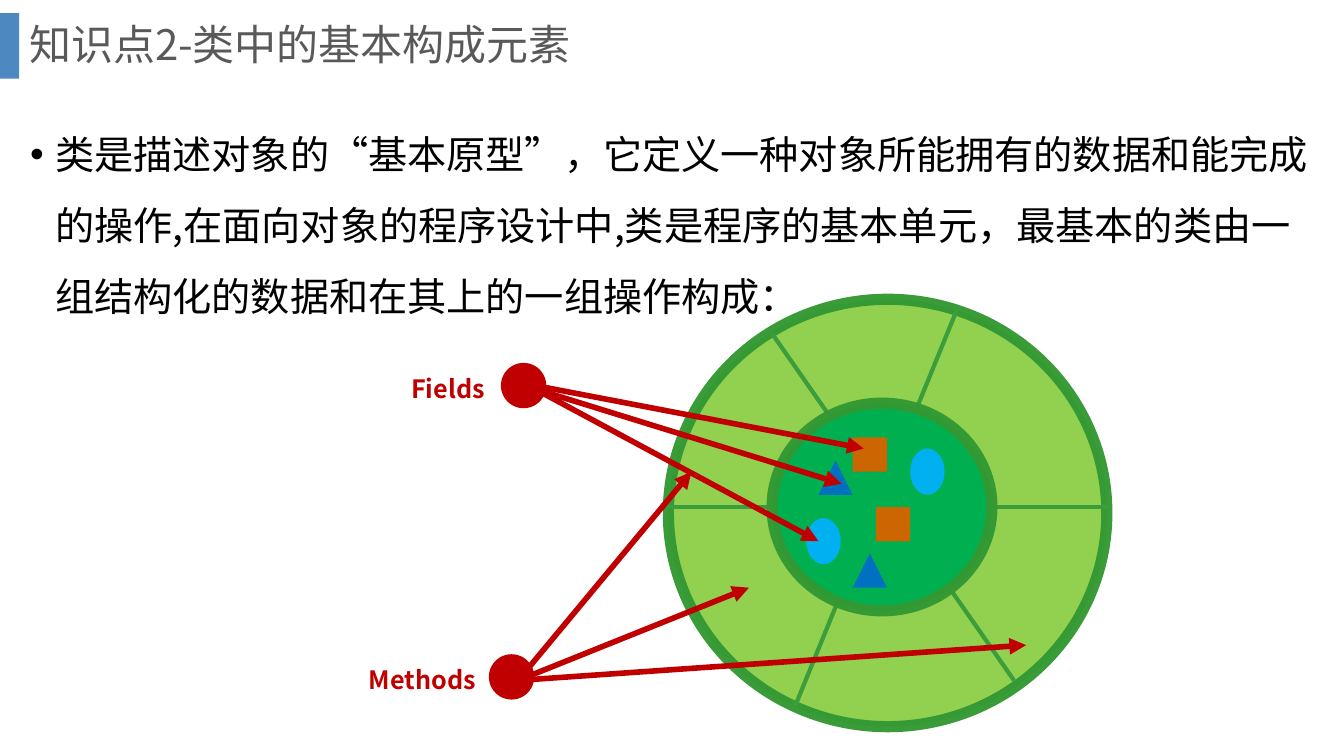
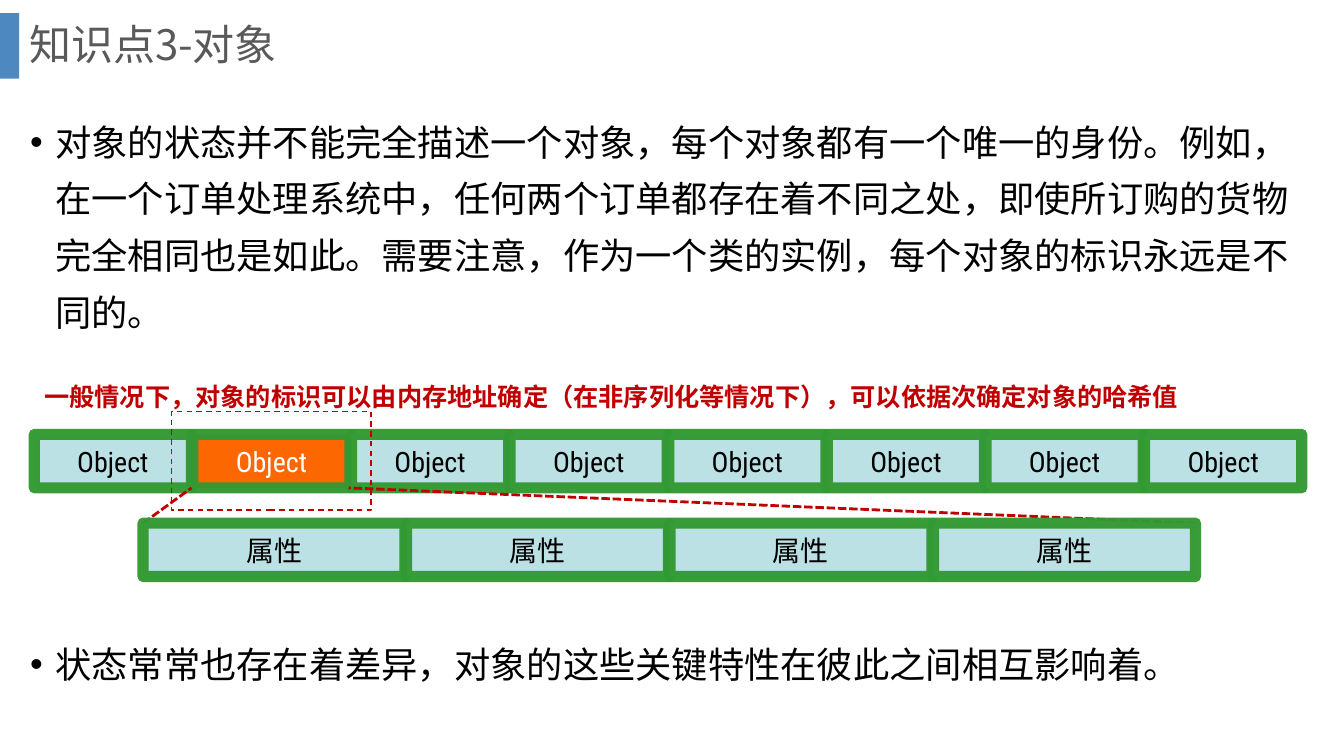
from dataclasses import dataclass
from typing import NamedTuple, Optional

from lxml.etree import SubElement
from pptx import Presentation
from pptx.dml.color import RGBColor
from pptx.enum.dml import MSO_LINE
from pptx.enum.lang import MSO_LANGUAGE_ID as Language
from pptx.enum.shapes import MSO_CONNECTOR, MSO_SHAPE
from pptx.enum.text import MSO_ANCHOR, PP_ALIGN
from pptx.oxml.ns import qn
from pptx.util import Pt


@dataclass(frozen=True)
class Theme:
    font: str = "Noto Sans CJK SC"
    object_font: str = "Roboto Condensed"
    band: str = "2E75B6"
    title: str = "595959"
    text: str = "000000"
    light_text: str = "FFFFFF"
    accent: str = "C00000"
    outline: str = "339933"
    divider: str = "3B9D3B"
    ring: str = "92D050"
    core: str = "00B050"
    square: str = "CC6600"
    oval: str = "00B0F0"
    triangle: str = "0070C0"
    cell: str = "BBE1E4"
    selected_cell: str = "FD6701"
    title_size: float = 30
    label_size: float = 18
    cell_size: float = 20
    outline_width: float = 8
    band_opacity: int = 85
    outline_opacity: int = 96


THEME = Theme()


class Box(NamedTuple):
    left: float
    top: float
    width: float
    height: float


class Point(NamedTuple):
    x: float
    y: float


class TextStyle(NamedTuple):
    size: float
    color: str
    bold: bool = False
    font: str = THEME.font


class Line(NamedTuple):
    color: str
    width: float
    dash: Optional[MSO_LINE] = None
    arrow: bool = False


class Token(NamedTuple):
    kind: MSO_SHAPE
    color: str
    left: float
    top: float
    height: float = 24.5


class Callout(NamedTuple):
    text: str
    label: Box
    dot: Point
    arrows: tuple[tuple[Point, Point], ...]


class Row(NamedTuple):
    text: str
    font: str
    first: Box
    pitch: float
    count: int
    selected: Optional[int] = None


BODY = Box(14.4, 72.5, 928.8, 429)
LABEL = TextStyle(THEME.label_size, THEME.accent, bold=True)
OUTLINE = Line(THEME.outline, THEME.outline_width)
DIVIDER = Line(THEME.divider, 3)
ARROW = Line(THEME.accent, 4, arrow=True)
ZOOM_LINE = Line(THEME.accent, 2, MSO_LINE.SQUARE_DOT)
FRAME_LINE = Line(THEME.accent, 1, MSO_LINE.DASH)

RING = Box(477.4, 213.8, 313.2, 305.3)
CORE = Box(551.5, 288, 157, 148.3)
DIVIDERS = (
    (Point(551.5, 238.3), Point(724.3, 486)),
    (Point(683.3, 221.8), Point(568.1, 504)),
    (Point(477.4, 362.2), Point(790.6, 362.2)),
)
TOKEN_WIDTH = 24.5
DOT_SIZE = 32.4
TOKENS = (
    Token(MSO_SHAPE.RECTANGLE, THEME.square, 609.1, 312.5),
    Token(MSO_SHAPE.OVAL, THEME.oval, 576, 370.1, 33),
    Token(MSO_SHAPE.ISOSCELES_TRIANGLE, THEME.triangle, 584.6, 329),
    Token(MSO_SHAPE.RECTANGLE, THEME.square, 625.7, 362.2),
    Token(MSO_SHAPE.OVAL, THEME.oval, 650.2, 320.4, 33),
    Token(MSO_SHAPE.ISOSCELES_TRIANGLE, THEME.triangle, 609.1, 395.3),
)
METHODS_START = Point(370.1, 486)
CALLOUTS = (
    Callout("Fields", Box(286.6, 262.8, 67, 28.8), Point(357.8, 259.2), (
        (Point(361.4, 271.4), Point(617, 320.4)),
        (Point(361.4, 271.4), Point(601.2, 345.6)),
        (Point(370.1, 271.4), Point(584.6, 386.6)),
    )),
    Callout("Methods", Box(256.3, 470.9, 96.5, 28.8), Point(349.2, 467.3), (
        (METHODS_START, Point(493.9, 337)),
        (METHODS_START, Point(733, 460.8)),
        (METHODS_START, Point(535, 419.8)),
    )),
)
OBJECTS = Row("Object", THEME.object_font, Box(24.5, 310.3, 112.3, 38.2), 113.3, 8, 1)
ATTRIBUTES = Row("属性", THEME.font, Box(102.2, 373.7, 187.2, 38.2), 188.2, 4)


def set_opacity(element, percent: int) -> None:
    for color in element.iter(qn("a:srgbClr")):
        SubElement(color, qn("a:alpha")).set("val", str(percent * 1000))


def style_line(line, style: Line) -> None:
    line.color.rgb = RGBColor.from_string(style.color)
    line.width = Pt(style.width)
    if style.dash is not None:
        line.dash_style = style.dash


def style_paragraph(paragraph, style: TextStyle) -> None:
    for run in paragraph.runs:
        run.font.size = Pt(style.size)
        run.font.bold = style.bold
        run.font.name = style.font
        run.font.color.rgb = RGBColor.from_string(style.color)
        run.font.language_id = Language.SIMPLIFIED_CHINESE
        east_asian = SubElement(run.font._element, qn("a:ea"))
        east_asian.set("typeface", THEME.font)


def add_shape(shapes, kind: MSO_SHAPE, box: Box, fill: Optional[str],
              line: Optional[Line] = None):
    shape = shapes.add_shape(kind, *map(Pt, box))
    shape.shadow.inherit = False
    if fill is None:
        shape.fill.background()
    else:
        shape.fill.solid()
        shape.fill.fore_color.rgb = RGBColor.from_string(fill)
    if line is None:
        shape.line.fill.background()
    else:
        style_line(shape.line, line)
        if line is OUTLINE:
            set_opacity(shape.element.spPr.find(qn("a:ln")), THEME.outline_opacity)
    return shape


def add_line(slide, start: Point, end: Point, style: Line) -> None:
    connector = slide.shapes.add_connector(
        MSO_CONNECTOR.STRAIGHT, *map(Pt, (*start, *end)))
    style_line(connector.line, style)
    properties = connector.element.spPr
    if style.arrow:
        SubElement(properties.find(qn("a:ln")), qn("a:tailEnd")).set("type", "triangle")
    SubElement(properties, qn("a:effectLst"))


def add_text(slide, box: Box, text: str, style: TextStyle, wrap: bool = True):
    frame = slide.shapes.add_textbox(*map(Pt, box)).text_frame
    frame.word_wrap = wrap
    frame.text = text
    for paragraph in frame.paragraphs:
        style_paragraph(paragraph, style)
    return frame


def add_bullets(slide, text: str, size: float, pitch: float, gap: float = 0) -> None:
    frame = add_text(slide, BODY, text, TextStyle(size, THEME.text))
    for index, paragraph in enumerate(frame.paragraphs):
        paragraph.line_spacing = Pt(pitch)
        paragraph.space_before = Pt(gap if index else 0)
        properties = paragraph._p.get_or_add_pPr()
        properties.set("marL", str(Pt(18)))
        properties.set("indent", str(-Pt(18)))
        SubElement(properties, qn("a:buFont")).set("typeface", "Arial")
        SubElement(properties, qn("a:buChar")).set("char", "•")


def add_slide(presentation, title: str):
    slide = presentation.slides.add_slide(presentation.slide_layouts[6])
    band = add_shape(slide.shapes, MSO_SHAPE.RECTANGLE, Box(0, 9.4, 13.7, 46.8), THEME.band)
    set_opacity(band.element.spPr, THEME.band_opacity)
    frame = add_text(slide, Box(13.7, 0, 911.5, 67), title,
                     TextStyle(THEME.title_size, THEME.title))
    frame.vertical_anchor = MSO_ANCHOR.MIDDLE
    frame.paragraphs[0].line_spacing = 0.9
    return slide


def add_callout(slide, callout: Callout) -> None:
    add_text(slide, callout.label, callout.text, LABEL, wrap=False)
    for start, end in callout.arrows:
        add_line(slide, start, end, ARROW)
    add_shape(slide.shapes, MSO_SHAPE.OVAL, Box(*callout.dot, DOT_SIZE, DOT_SIZE), THEME.accent)


def add_row(slide, row: Row) -> None:
    group = slide.shapes.add_group_shape()
    for index in range(row.count):
        selected = index == row.selected
        box = row.first._replace(left=row.first.left + index * row.pitch)
        fill = THEME.selected_cell if selected else THEME.cell
        color = THEME.light_text if selected else THEME.text
        frame = add_shape(group.shapes, MSO_SHAPE.RECTANGLE, box, fill, OUTLINE).text_frame
        frame.text = row.text
        frame.vertical_anchor = MSO_ANCHOR.MIDDLE
        frame.paragraphs[0].alignment = PP_ALIGN.CENTER
        style_paragraph(frame.paragraphs[0], TextStyle(THEME.cell_size, color, font=row.font))


def build_class_slide(presentation) -> None:
    slide = add_slide(presentation, "知识点2-类中的基本构成元素")
    add_bullets(
        slide,
        "类是描述对象的“基本原型”，它定义一种对象所能拥有的数据和能完成的操作,"
        "在面向对象的程序设计中,类是程序的基本单元，"
        "最基本的类由一组结构化的数据和在其上的一组操作构成：",
        size=28, pitch=50.7)
    add_shape(slide.shapes, MSO_SHAPE.OVAL, RING, THEME.ring, OUTLINE)
    for start, end in DIVIDERS:
        add_line(slide, start, end, DIVIDER)
    add_shape(slide.shapes, MSO_SHAPE.OVAL, CORE, THEME.core, OUTLINE)
    for token in TOKENS:
        box = Box(token.left, token.top, TOKEN_WIDTH, token.height)
        add_shape(slide.shapes, token.kind, box, token.color)
    for callout in CALLOUTS:
        add_callout(slide, callout)


def build_object_slide(presentation) -> None:
    slide = add_slide(presentation, "知识点3-对象")
    add_bullets(
        slide,
        "对象的状态并不能完全描述一个对象，每个对象都有一个唯一的身份。"
        "例如，在一个订单处理系统中，任何两个订单都存在着不同之处，"
        "即使所订购的货物完全相同也是如此。需要注意，作为一个类的实例，"
        "每个对象的标识永远是不同的。\n"
        "状态常常也存在着差异，对象的这些关键特性在彼此之间相互影响着。",
        size=25.9, pitch=40.6, gap=211)
    add_row(slide, OBJECTS)
    add_line(slide, Point(102.2, 373.7), Point(136.8, 348.5), ZOOM_LINE)
    add_line(slide, Point(853.9, 373.7), Point(249.1, 348.5), ZOOM_LINE)
    add_row(slide, ATTRIBUTES)
    add_shape(slide.shapes, MSO_SHAPE.RECTANGLE, Box(122.4, 293.8, 142.6, 70.6),
              None, FRAME_LINE)
    add_text(
        slide, Box(24.5, 268.6, 872.6, 28.8),
        "一般情况下，对象的标识可以由内存地址确定（在非序列化等情况下），"
        "可以依据次确定对象的哈希值",
        LABEL)


def main() -> None:
    presentation = Presentation()
    presentation.slide_width = Pt(960)
    presentation.slide_height = Pt(540)
    build_class_slide(presentation)
    build_object_slide(presentation)
    presentation.save("out.pptx")


if __name__ == "__main__":
    main()
